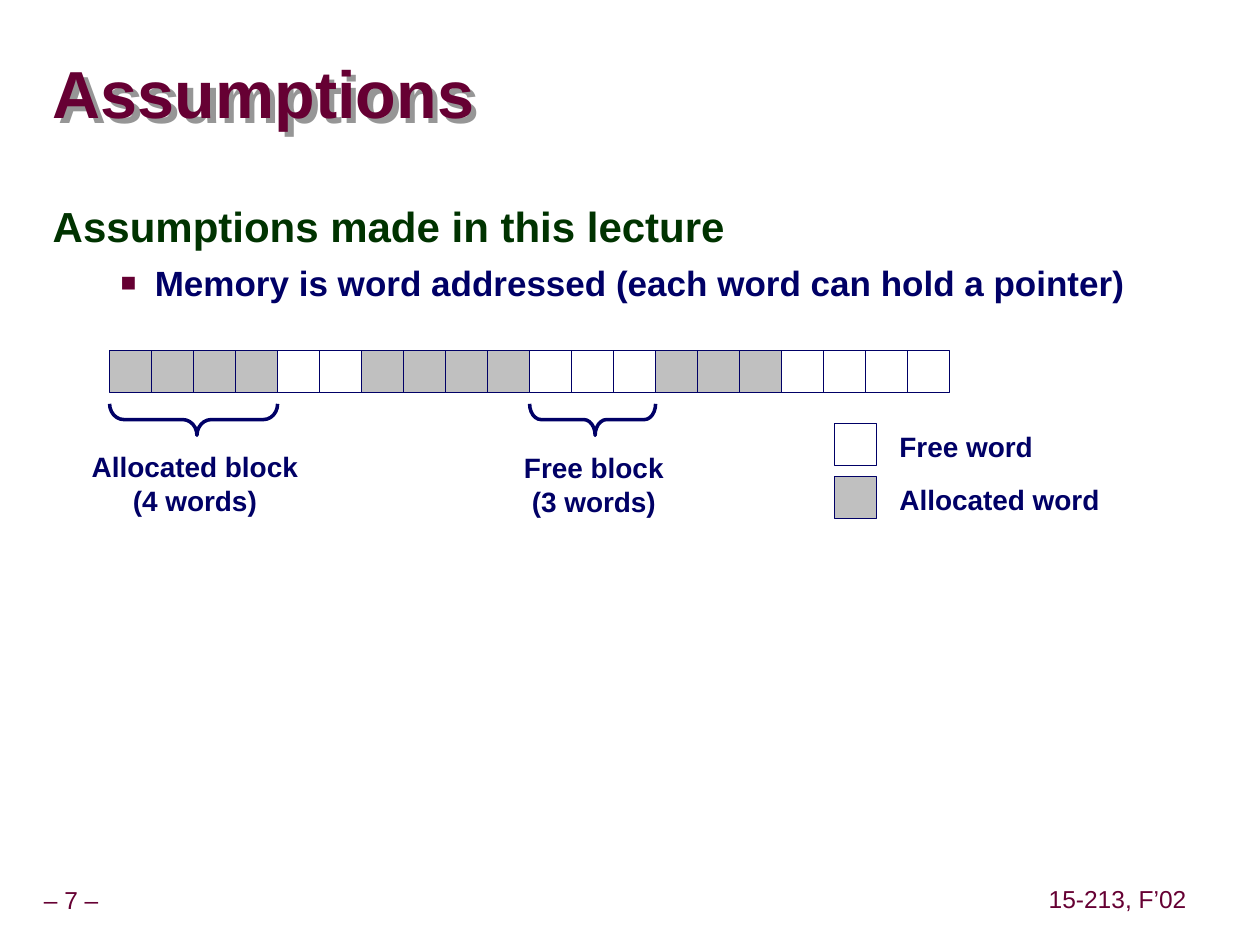
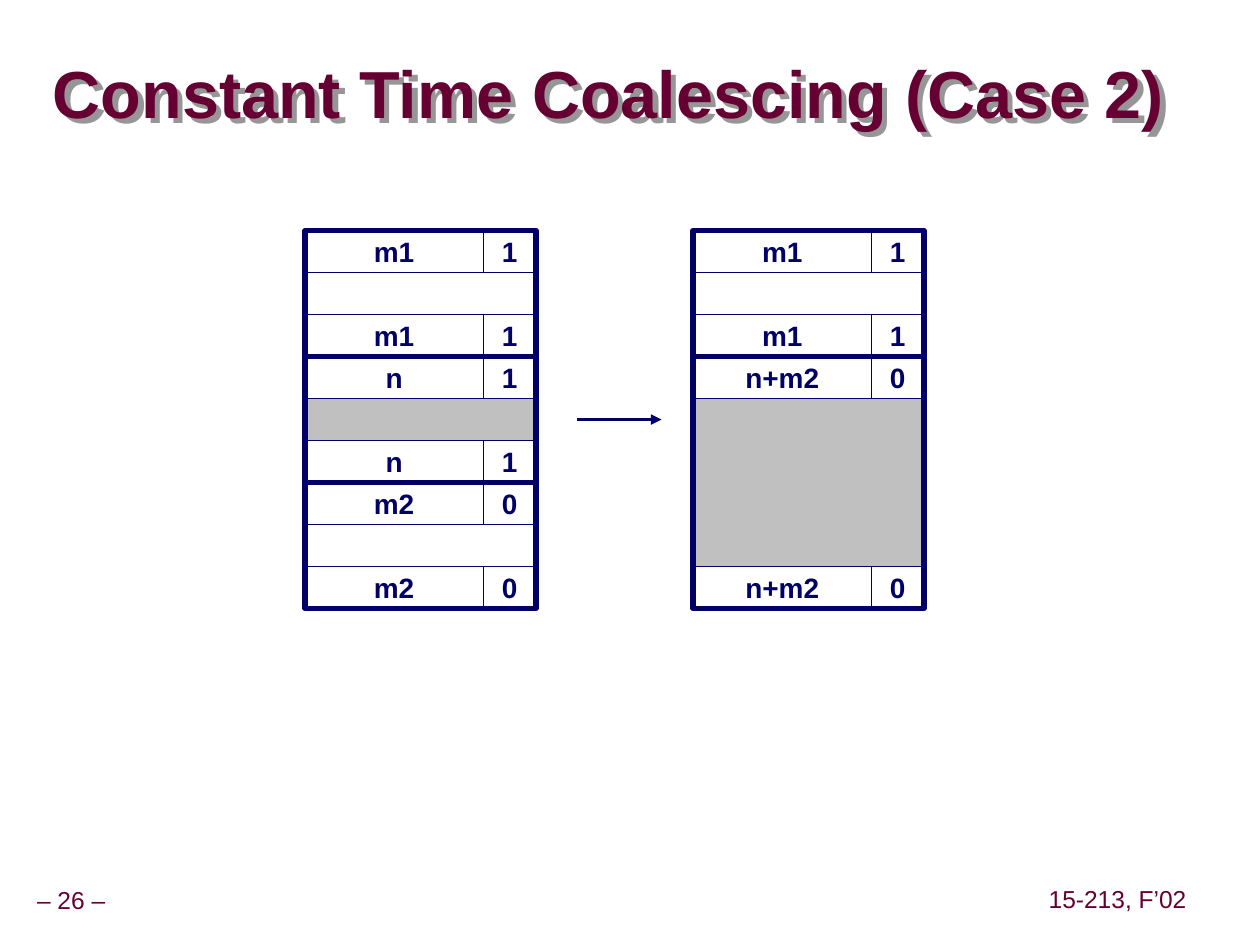
"""Build two lecture slides on memory blocks and constant time coalescing."""
from itertools import accumulate
from lxml.etree import SubElement
from pptx import Presentation
from pptx.dml.color import RGBColor
from pptx.enum.shapes import MSO_CONNECTOR, MSO_SHAPE
from pptx.enum.text import MSO_ANCHOR, MSO_AUTO_SIZE, PP_ALIGN
from pptx.oxml.ns import qn
from pptx.util import Inches, Pt

HUES = {"wine": "660033", "green": "003300", "navy": "000066",
        "gray": "C0C0C0", "white": "FFFFFF", "shade": "969696"}
UNIT = 1 / 3
COURSE = "15-213, F’02"
LABEL = {"size": 16, "bold": True, "hue": "navy"}
FOOT = {"size": 14, "bold": False, "hue": "wine"}
INSET = (0.1, 0.05, 0.1, 0.05)

HEAD = "Assumptions made in this lecture"
POINT = "Memory is word addressed (each word can hold a pointer)"
ROW = (0.87, 2.78)
RUNS = [(4, "gray"), (2, "white"), (4, "gray"), (3, "white"), (3, "gray"), (4, "white")]
BRACES = [(0, 0.45, ["Allocated block", "(4 words)"], 3.52),
          (3, 0.36, ["Free block", "(3 words)"], 3.53)]
KEYS = [("Free word", "white", 3.36), ("Allocated word", "gray", 3.78)]

TOP = 1.83
WIDE, SLIM = 4.25 * UNIT, 1.25 * UNIT
STACKS = [(2.42, [("m1", "1", 3, "white"), ("n", "1", 3, "gray"), ("m2", "0", 3, "white")]),
          (5.5, [("m1", "1", 3, "white"), ("n+m2", "0", 6, "gray")])]
ARROW = (4.58, 5.25, TOP + 4.5 * UNIT)


def color(name):
    return RGBColor.from_string(HUES[name])


def write(frame, lines, style, align=PP_ALIGN.CENTER, anchor=MSO_ANCHOR.TOP,
          inset=INSET, wrap=False, space=None):
    sides = ("margin_left", "margin_top", "margin_right", "margin_bottom")
    form = dict(zip(sides, map(Inches, inset)), word_wrap=wrap,
                auto_size=MSO_AUTO_SIZE.NONE, vertical_anchor=anchor)
    for key, value in form.items():
        setattr(frame, key, value)
    for i, line in enumerate(lines):
        para = frame.add_paragraph() if i else frame.paragraphs[0]
        para.text, para.alignment, para.line_spacing = line, align, space
        dress(para, style)


def dress(para, style):
    for run in para.runs:
        font = run.font
        for key, value in {"name": "Arial", "size": Pt(style["size"]), "bold": style["bold"]}.items():
            setattr(font, key, value)
        font.color.rgb = color(style["hue"])


def label(slide, lines, box, style=LABEL, **form):
    shape = slide.shapes.add_textbox(*map(Inches, box))
    write(shape.text_frame, lines, style, **form)
    return shape


def draw(slide, box, fill=None, line=0.25, text=None, kind=MSO_SHAPE.RECTANGLE):
    shape = slide.shapes.add_shape(kind, *map(Inches, box))
    shape.shadow.inherit = False
    if fill:
        shape.fill.solid()
        shape.fill.fore_color.rgb = color(fill)
    else:
        shape.fill.background()
    shape.line.color.rgb = color("navy")
    shape.line.width = Pt(line)
    if text:
        write(shape.text_frame, [text], LABEL, anchor=MSO_ANCHOR.MIDDLE)
    return shape


def shade(shape):
    effects = SubElement(shape._element.spPr, qn("a:effectLst"))
    shadow = SubElement(effects, qn("a:outerShdw"), dist=str(Inches(0.06)),
                        dir="2700000", algn="ctr", rotWithShape="0")
    SubElement(shadow, qn("a:srgbClr"), val=HUES["shade"])


def start(deck, name, number):
    slide = deck.slides.add_slide(deck.slide_layouts[5])
    title = slide.shapes.title
    for key, value in zip(("left", "top", "width", "height"), (0.42, 0.46, 9.08, 0.63)):
        setattr(title, key, Inches(value))
    write(title.text_frame, [name], {"size": 38, "bold": True, "hue": "wine"},
          align=PP_ALIGN.LEFT, anchor=MSO_ANCHOR.MIDDLE, inset=(0,) * 4, wrap=True, space=0.87)
    shade(title)
    for text, box in ((f"– {number} –", (-0.09, 7, 1.31, 0.31)), (COURSE, (8.27, 6.99, 1.2, 0.31))):
        label(slide, [text], box, FOOT, anchor=MSO_ANCHOR.MIDDLE, inset=(0.05,) * 4, space=0.9)
    return slide


def body(slide):
    shape = label(slide, [HEAD, POINT], (0.32, 1.34, 9.09, 5.71),
                  {"size": 24, "bold": True, "hue": "green"}, align=PP_ALIGN.LEFT, wrap=True)
    head, point = shape.text_frame.paragraphs
    head.line_spacing, head.space_before = 1.5, Pt(15)
    point.space_before = Pt(6.2)
    dress(point, {"size": 20, "bold": True, "hue": "navy"})
    props = point._p.get_or_add_pPr()
    props.set("marL", str(Inches(0.81)))
    props.set("indent", str(Inches(-0.27)))
    SubElement(SubElement(props, qn("a:buClr")), qn("a:srgbClr"), val=HUES["wine"])
    SubElement(props, qn("a:buSzPct"), val="75000")
    SubElement(props, qn("a:buFont"), typeface="Arial")
    SubElement(props, qn("a:buChar"), char="■")


def memory(slide):
    left, top = ROW
    words = [hue for count, hue in RUNS for _ in range(count)]
    for i, hue in enumerate(words):
        draw(slide, (left + i * UNIT, top, UNIT, UNIT), hue)
    starts = [0, *accumulate(count for count, _ in RUNS)]
    for index, bend, lines, y in BRACES:
        span = RUNS[index][0] * UNIT
        mid = left + starts[index] * UNIT + span / 2
        depth = 0.25
        brace = draw(slide, (mid - depth / 2, 3.33 - span / 2, depth, span),
                     line=2, kind=MSO_SHAPE.RIGHT_BRACE)
        brace.rotation = 90
        brace.adjustments[0], brace.adjustments[1] = bend, 0.48
        label(slide, lines, (mid - 0.92 + 0.01, y, 1.84, 0.64))
    for text, hue, y in KEYS:
        draw(slide, (6.62, y, UNIT, UNIT), hue)
        label(slide, [text], (7.04, y, 1.79, 0.37), align=PP_ALIGN.LEFT)


def stack(slide, left, blocks):
    row, full = 0, WIDE + SLIM
    for name, flag, rows, hue in blocks:
        top = TOP + row * UNIT
        for step in (0, rows - 1):
            y = top + step * UNIT
            draw(slide, (left, y, WIDE, UNIT), "white", text=name)
            draw(slide, (left + WIDE, y, SLIM, UNIT), "white", text=flag)
        draw(slide, (left, top + UNIT, full, (rows - 2) * UNIT), hue)
        draw(slide, (left, top, full, rows * UNIT), line=3)
        row += rows


def arrow(slide, x1, x2, y):
    line = slide.shapes.add_connector(MSO_CONNECTOR.STRAIGHT, *map(Inches, (x1, y, x2, y)))
    line.line.color.rgb = color("navy")
    line.line.width = Pt(2)
    SubElement(line.line._get_or_add_ln(), qn("a:tailEnd"), type="triangle")
    SubElement(line._element.spPr, qn("a:effectLst"))


def main():
    deck = Presentation()
    deck.slide_width, deck.slide_height = Inches(10), Inches(7.5)
    slide = start(deck, "Assumptions", 7)
    body(slide)
    memory(slide)
    slide = start(deck, "Constant Time Coalescing (Case 2)", 26)
    for left, blocks in STACKS:
        stack(slide, left, blocks)
    arrow(slide, *ARROW)
    deck.save("out.pptx")


if __name__ == "__main__":
    main()
